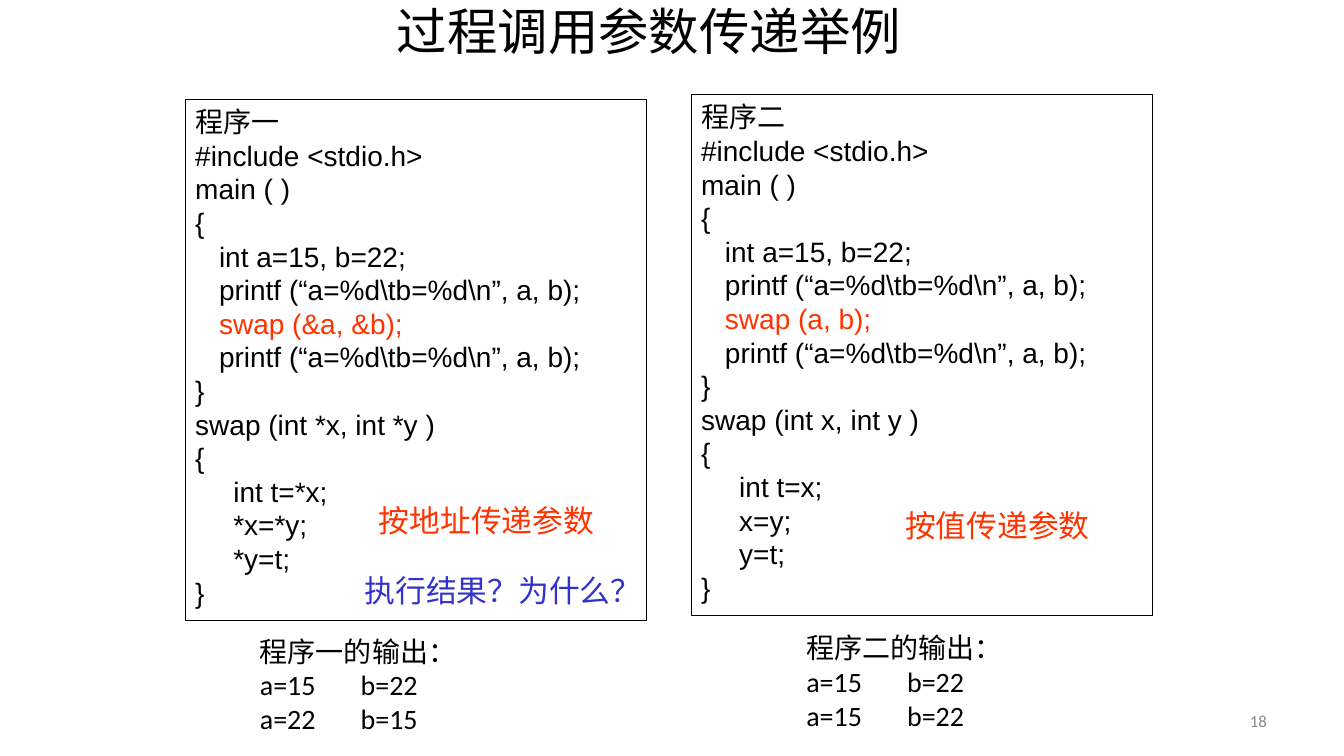
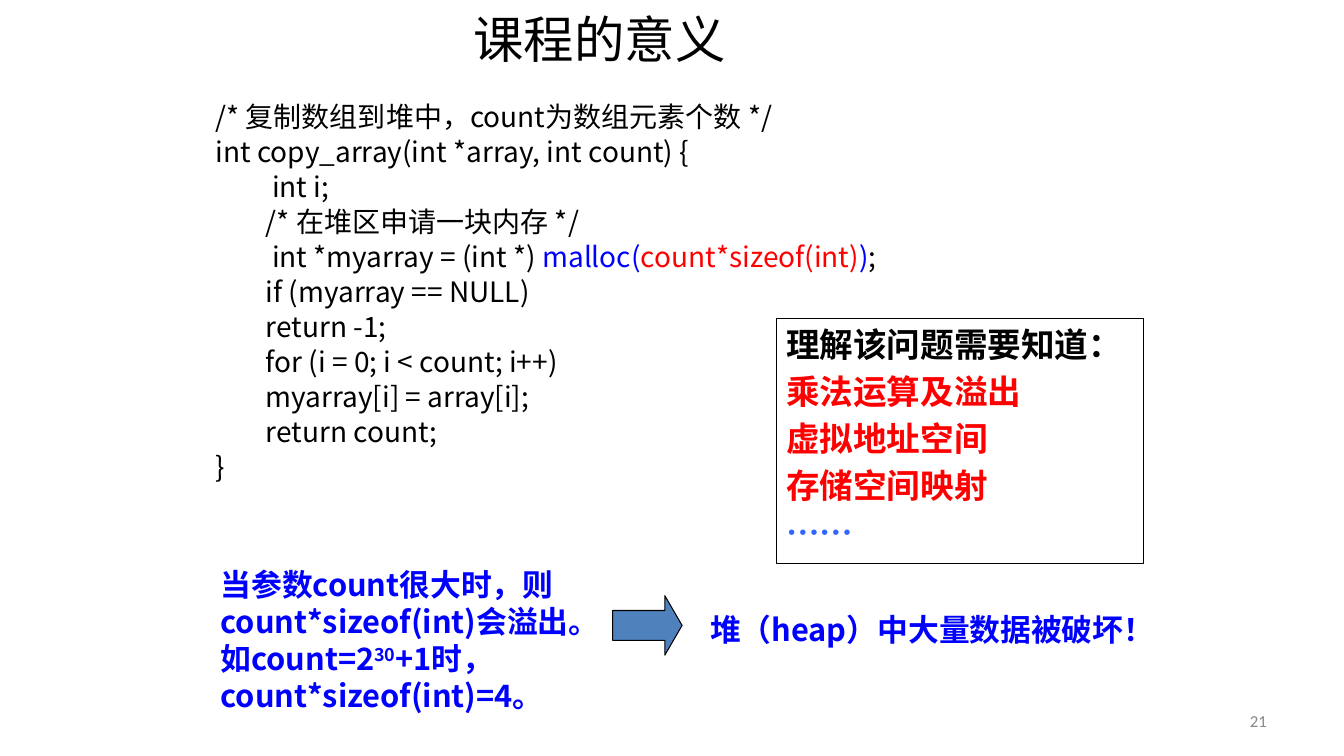
from lxml.etree import SubElement
from pptx import Presentation
from pptx.dml.color import RGBColor
from pptx.enum.shapes import MSO_SHAPE
from pptx.enum.text import MSO_ANCHOR, PP_ALIGN
from pptx.oxml.ns import qn
from pptx.util import Cm, Pt

BLACK = RGBColor(0x00, 0x00, 0x00)
WHITE = RGBColor(0xFF, 0xFF, 0xFF)
GREY = RGBColor(0x89, 0x89, 0x89)
ORANGE = RGBColor(0xFF, 0x33, 0x00)
RED = RGBColor(0xFF, 0x00, 0x00)
BLUE = RGBColor(0x00, 0x00, 0xFF)
INDIGO = RGBColor(0x33, 0x33, 0xCC)
SKY = RGBColor(0x33, 0x66, 0xFF)
STEEL = RGBColor(0x4F, 0x81, 0xBD)

CHINESE_FONT = "Noto Sans CJK SC"
LINE_HEIGHT = 1.2


def write(frame, lines, size, color=BLACK, name="Calibri", bold=False,
          alignment=PP_ALIGN.LEFT, space_before=0, anchor=MSO_ANCHOR.TOP, wrap=True):
    frame.word_wrap = wrap
    frame.vertical_anchor = anchor
    for index, (indent, runs) in enumerate(lines):
        paragraph = frame.paragraphs[0] if index == 0 else frame.add_paragraph()
        paragraph_format = {
            "alignment": alignment,
            "line_spacing": Pt(round(size * LINE_HEIGHT, 1)),
            "space_before": Pt(space_before),
        }
        for attribute, value in paragraph_format.items():
            setattr(paragraph, attribute, value)
        if indent:
            paragraph_properties = paragraph._p.get_or_add_pPr()
            paragraph_properties.set("marL", str(Cm(indent)))
            paragraph_properties.set("indent", "0")
        for text, run_color, *baseline in runs:
            run = paragraph.add_run()
            run.text = text
            run.font.color.rgb = run_color or color
            for attribute, value in {"name": name, "size": Pt(size), "bold": bold}.items():
                setattr(run.font, attribute, value)
            run_properties = run._r.get_or_add_rPr()
            SubElement(run_properties, qn("a:ea"), typeface=CHINESE_FONT)
            if baseline:
                run_properties.set("baseline", str(baseline[0]))


def add_box(slide, box, fill=None, line=None, kind=MSO_SHAPE.RECTANGLE):
    shape = slide.shapes.add_shape(kind, *map(Cm, box))
    shape.shadow.inherit = False
    if fill is None:
        shape.fill.background()
    else:
        shape.fill.solid()
        shape.fill.fore_color.rgb = fill
    if line is None:
        shape.line.fill.background()
    else:
        shape.line.color.rgb = line
        shape.line.width = Pt(0.75)
    return shape


presentation = Presentation()
presentation.slide_width = Cm(33.87)
presentation.slide_height = Cm(19.05)

slides = []
for title_text, title_box, page_number in [
    ("过程调用参数传递举例", (9.75, 0, 14.63, 1.55), "18"),
    ("课程的意义", (11.68, 0.2, 10.19, 1.55), "21"),
]:
    slide = presentation.slides.add_slide(presentation.slide_layouts[5])
    title = slide.shapes.title
    for attribute, value in zip(("left", "top", "width", "height"), title_box):
        setattr(title, attribute, Cm(value))
    write(title.text_frame, [(0, [(title_text, None)])], 36, anchor=MSO_ANCHOR.MIDDLE)
    number = slide.shapes.add_textbox(Cm(24.28), Cm(17.65), Cm(7.9), Cm(1.02))
    write(number.text_frame, [(0, [(page_number, None)])], 12, GREY,
          alignment=PP_ALIGN.RIGHT, anchor=MSO_ANCHOR.MIDDLE)
    slides.append(slide)

call_slide, meaning_slide = slides

MAIN_INDENT = 0.6
SWAP_INDENT = 0.96
PRINT_LINE = r"printf (“a=%d\tb=%d\n”, a, b);"

programs = [
    {
        "name": "程序一", "call": "swap (&a, &b);", "header": "swap (int *x, int *y )",
        "body": ["int t=*x;", "*x=*y;", "*y=t;"], "code_box": (4.67, 2.51, 11.63, 13.13),
        "result": "a=22\tb=15", "output_box": (6.3, 15.98, 6.5, 2.41), "fill": None,
    },
    {
        "name": "程序二", "call": "swap (a, b);", "header": "swap (int x, int y )",
        "body": ["int t=x;", "x=y;", "y=t;"], "code_box": (17.42, 2.39, 11.63, 13.13),
        "result": "a=15\tb=22", "output_box": (20.07, 15.9, 6.15, 2.49), "fill": WHITE,
    },
]
for program in programs:
    output = add_box(call_slide, program["output_box"], fill=program["fill"])
    output.text_frame.margin_top = output.text_frame.margin_bottom = 0
    output_lines = [program["name"] + "的输出：", "a=15\tb=22", program["result"]]
    write(output.text_frame, [(0, [(text, None)]) for text in output_lines], 20,
          alignment=PP_ALIGN.JUSTIFY)

    code_lines = [(0, text, None) for text in (program["name"], "#include <stdio.h>", "main ( )", "{")]
    code_lines += [
        (MAIN_INDENT, "int a=15, b=22;", None),
        (MAIN_INDENT, PRINT_LINE, None),
        (MAIN_INDENT, program["call"], ORANGE),
        (MAIN_INDENT, PRINT_LINE, None),
    ]
    code_lines += [(0, text, None) for text in ("}", program["header"], "{")]
    code_lines += [(SWAP_INDENT, text, None) for text in program["body"]]
    code_lines.append((0, "}", None))
    code = add_box(call_slide, program["code_box"], line=BLACK)
    write(code.text_frame, [(indent, [(text, color)]) for indent, text, color in code_lines],
          20, name="Arial", alignment=PP_ALIGN.JUSTIFY)

for text, color, box in [
    ("按地址传递参数", ORANGE, (9.3, 12.52, 5.94, 1.19)),
    ("按值传递参数", ORANGE, (22.56, 12.65, 5.16, 1.19)),
    ("执行结果？为什么？", INDIGO, (8.94, 14.27, 7.49, 1.19)),
]:
    remark = call_slide.shapes.add_textbox(*map(Cm, box))
    write(remark.text_frame, [(0, [(text, None)])], 22, color, wrap=False)

BODY_INDENT = 1.27
DECLARATION_INDENT = 1.43
copy_array_lines = [
    (0, [("/* 复制数组到堆中，count为数组元素个数 */", None)]),
    (0, [("int copy_array(int *array, int count) {", None)]),
    (DECLARATION_INDENT, [("int i;", None)]),
    (BODY_INDENT, [("/* 在堆区申请一块内存 */", None)]),
    (DECLARATION_INDENT, [
        ("int *myarray = (int *) ", None),
        ("malloc(", BLUE),
        ("count*sizeof(int)", RED),
        (")", BLUE),
        (";", None),
    ]),
]
copy_array_lines += [(BODY_INDENT, [(text, None)]) for text in (
    "if (myarray == NULL)",
    "return -1;",
    "for (i = 0; i < count; i++)",
    "myarray[i] = array[i];",
    "return count;",
)]
copy_array_lines.append((0, [("}", None)]))
copy_array = meaning_slide.shapes.add_textbox(Cm(5.18), Cm(2.39), Cm(22.86), Cm(12.45))
write(copy_array.text_frame, copy_array_lines, 20, name=CHINESE_FONT, space_before=1)

overflow_runs = [
    ("当参数count很大时，则count*sizeof(int)会溢出。如count=2", None),
    ("30", None, 30000),
    ("+1时， count*sizeof(int)=4。", None),
]
for runs, box in [
    (overflow_runs, (5.31, 14.12, 10.39, 4.01)),
    ([("堆（heap）中大量数据被破坏！", None)], (17.65, 15.27, 12.34, 1.19)),
]:
    statement = meaning_slide.shapes.add_textbox(*map(Cm, box))
    write(statement.text_frame, [(0, runs)], 22, BLUE, CHINESE_FONT, True,
          anchor=MSO_ANCHOR.MIDDLE)

arrow = add_box(meaning_slide, (15.44, 15.01, 1.75, 1.5), STEEL, BLACK, MSO_SHAPE.RIGHT_ARROW)
arrow.adjustments[0] = 0.5
arrow.adjustments[1] = 0.29

topics = [
    ("理解该问题需要知道：", BLACK),
    ("乘法运算及溢出", RED),
    ("虚拟地址空间", RED),
    ("存储空间映射", RED),
    ("……", SKY),
]
knowledge = add_box(meaning_slide, (19.56, 8.03, 9.25, 6.17), line=BLACK)
write(knowledge.text_frame, [(0, [topic]) for topic in topics], 24,
      name=CHINESE_FONT, bold=True, space_before=4.8)

presentation.save("out.pptx")
